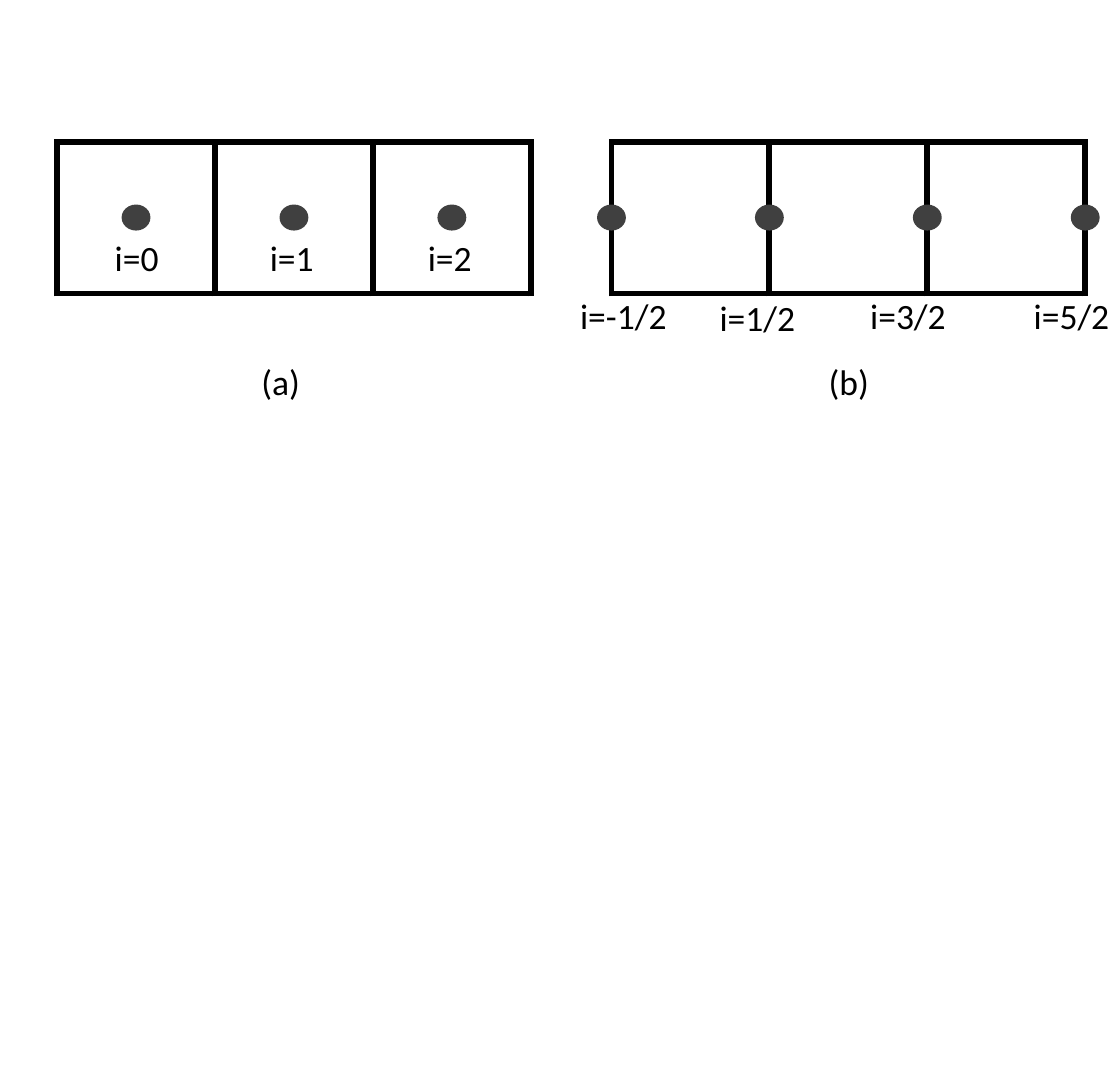
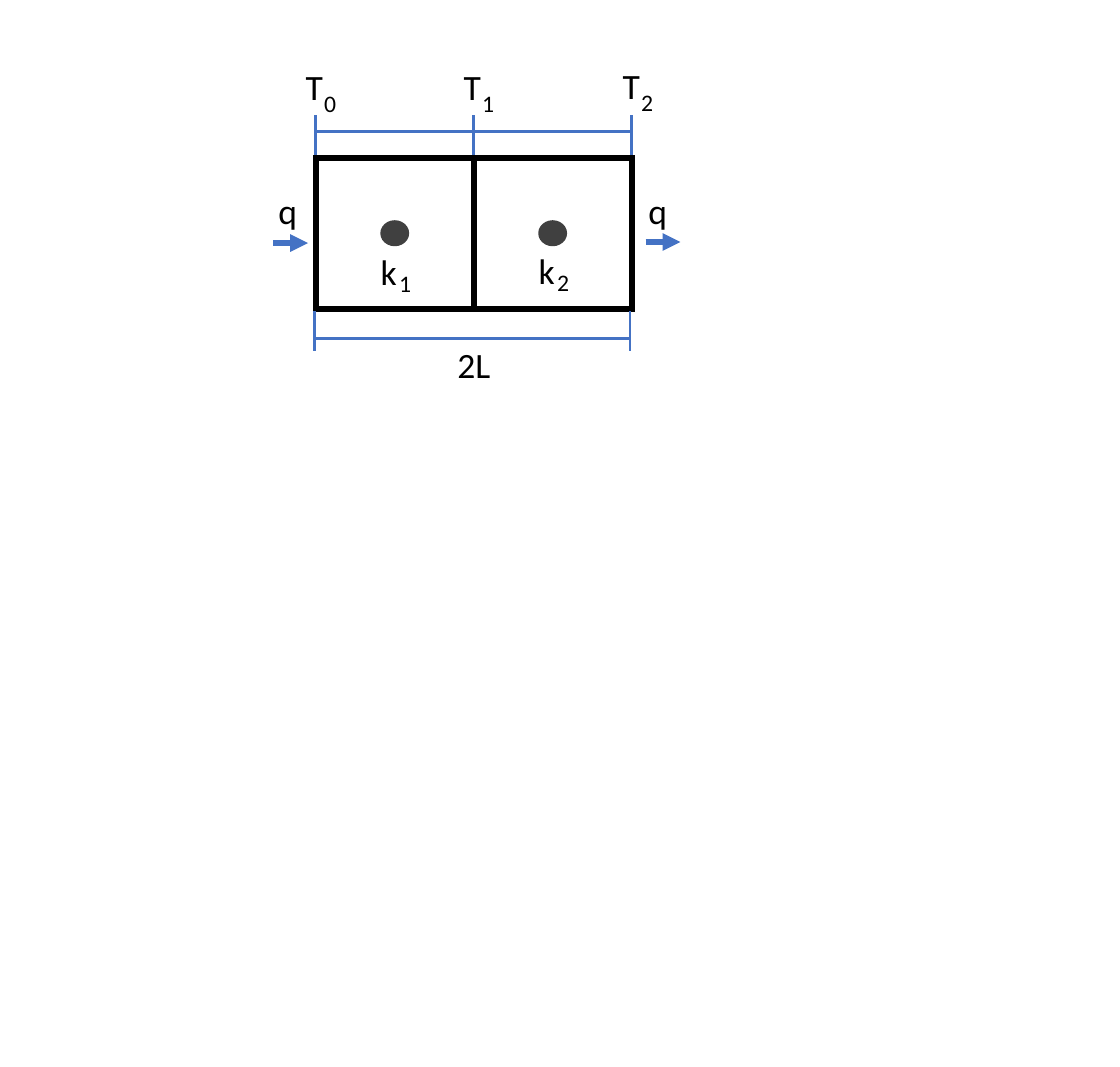
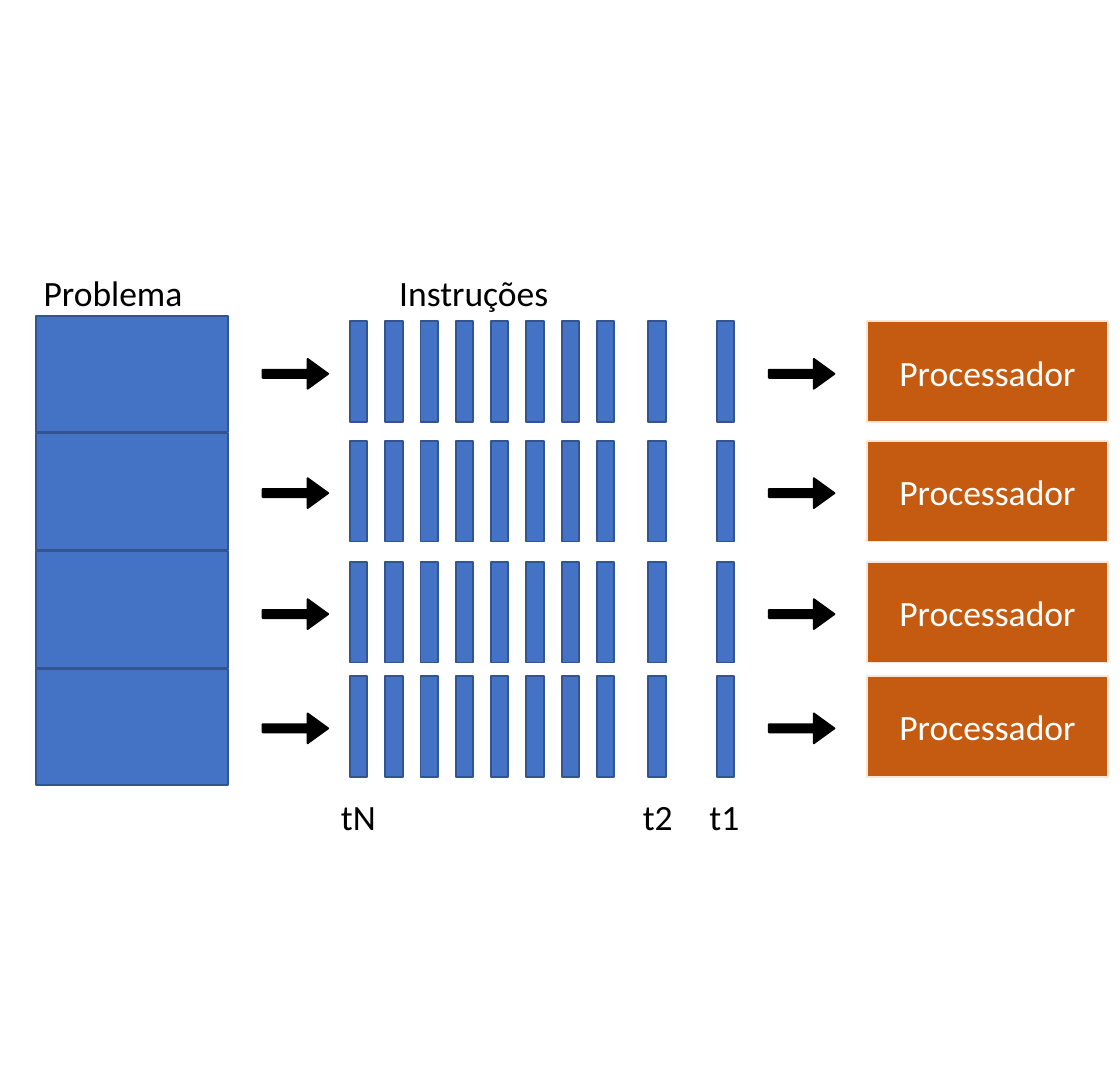
from lxml import etree
from pptx import Presentation
from pptx import util as u
from pptx.dml.color import RGBColor
from pptx.enum import shapes, text
from pptx.oxml.ns import qn

BLACK, WHITE, GREY = "000000", "FFFFFF", "404040"
BLUE, NAVY = "4472C4", "325491"
RUST, PEACH = "C55A11", "FBE5D6"
FONT = "Calibri"
SHAPE = shapes.MSO_SHAPE

# Cell grid, in cm
CELL, HIGH = 2.82, 2.7


def paint(color):
    return RGBColor.from_string(color)


class Deck:
    """Holds the style and the current slide; all lengths are in cm."""

    def __init__(self, width, height):
        self.prs = Presentation()
        self.prs.slide_width, self.prs.slide_height = u.Cm(width), u.Cm(height)
        self.page = None

    def start(self):
        self.page = self.prs.slides.add_slide(self.prs.slide_layouts[6]).shapes

    def letter(self, frame, words, size, color):
        frame.text = words
        font = frame.paragraphs[0].font
        font.name, font.size = FONT, u.Pt(size)
        font.color.rgb = paint(color)

    def label(self, x, y, width, words, size=18):
        height = 1.02 if size == 18 else 0.77
        box = self.page.add_textbox(u.Cm(x), u.Cm(y), u.Cm(width), u.Cm(height))
        box.text_frame.word_wrap = False
        box.text_frame.auto_size = text.MSO_AUTO_SIZE.SHAPE_TO_FIT_TEXT
        self.letter(box.text_frame, words, size, BLACK)

    def symbol(self, x, y, base, sub, drop):
        self.label(x, y, 0.81, base)
        self.label(x + 0.33, y + drop, 0.74, sub, 12)

    def shape(self, kind, x, y, width, height, fill, edge):
        item = self.page.add_shape(kind, u.Cm(x), u.Cm(y), u.Cm(width), u.Cm(height))
        item.shadow.inherit = False
        item.fill.solid()
        item.fill.fore_color.rgb = paint(fill)
        item.line.color.rgb = paint(edge)
        item.line.width = u.Pt(1)
        return item

    def box(self, x, y, width, height, fill=BLUE, edge=NAVY, words=None):
        item = self.shape(SHAPE.RECTANGLE, x, y, width, height, fill, edge)
        if words:
            frame = item.text_frame
            self.letter(frame, words, 18, WHITE)
            frame.vertical_anchor = text.MSO_ANCHOR.MIDDLE
            frame.paragraphs[0].alignment = text.PP_ALIGN.CENTER

    def arrow(self, x, y):
        item = self.shape(SHAPE.RIGHT_ARROW, x, y, 1.17, 0.53, BLACK, BLACK)
        item.adjustments[0], item.adjustments[1] = 0.27, 0.69

    def line(self, x1, y1, x2, y2, color=BLACK, width=3, head=False):
        item = self.page.add_connector(
            shapes.MSO_CONNECTOR.STRAIGHT, u.Cm(x1), u.Cm(y1), u.Cm(x2), u.Cm(y2))
        item.line.color.rgb = paint(color)
        item.line.width = u.Pt(width)
        props = item.element.spPr
        if head:
            etree.SubElement(props.find(qn("a:ln")), qn("a:tailEnd"), type="triangle")
        etree.SubElement(props, qn("a:effectLst"))

    def cells(self, x, y, count, first, dots):
        """Row of square cells; dots start at `first` cells from the left."""
        for edge in (y, y + HIGH):
            self.line(x, edge, x + count * CELL, edge)
        for i in range(count + 1):
            wall = x + i * CELL
            self.line(wall, y + HIGH + 0.05, wall, y - 0.05)
        for i in range(dots):
            mid = x + (first + i) * CELL
            self.shape(SHAPE.OVAL, mid - 0.24, y + 1.13, 0.48, 0.43, GREY, GREY)

    def scale(self, x, y, ticks, above, below):
        """Dimension line two cells long with ticks at the given cells."""
        for i in range(2):
            self.line(x + i * CELL, y, x + (i + 1) * CELL, y, BLUE, 1.5)
        for i in ticks:
            self.line(x + i * CELL, y - above, x + i * CELL, y + below, BLUE, 1.5)


def grids(deck):
    deck.start()
    # Values at cell centres, then at cell faces
    deck.cells(1.02, 2.54, 3, 0.5, 3)
    deck.cells(10.92, 2.54, 3, 0, 4)
    for i, x in enumerate((1.8, 4.57, 7.39)):
        deck.label(x, 4.09, 1.3, f"i={i}")
    for x, y, width, half in ((10.11, 5.13, 2.08, -1), (12.6, 5.16, 1.88, 1),
                              (15.29, 5.13, 1.88, 3), (18.21, 5.13, 1.88, 5)):
        deck.label(x, y, width, f"i={half}/2")
    # Captions
    deck.label(4.42, 6.3, 1.22, "(a)")
    deck.label(14.55, 6.3, 1.24, "(b)")


def heat(deck):
    deck.start()
    deck.cells(5.64, 2.82, 2, 0.5, 2)
    # Conductivities and temperatures
    for x, y, sub in ((6.55, 4.34, "1"), (9.37, 4.32, "2")):
        deck.symbol(x, y, "k", sub, 0.33)
    for x, y, sub in ((5.21, 1.04, "0"), (8.03, 1.04, "1"), (10.87, 1.02, "2")):
        deck.symbol(x, y, "T", sub, 0.43)
    # Heat flow in and out
    for x, start, y in ((4.72, 4.88, 4.34), (11.33, 11.53, 4.32)):
        deck.label(x, 3.25, 0.86, "q")
        deck.line(start, y, start + 0.62, y, BLUE, 3, head=True)
    # Dimensions
    deck.scale(5.64, 2.34, (0, 1, 2), 0.28, 0.43)
    deck.scale(5.61, 6.05, (0, 2), 0.49, 0.22)
    deck.label(7.92, 5.99, 1.12, "2L")


def tasks(deck):
    deck.start()
    bars = [6.25 + 0.63 * i for i in range(8)] + [11.58, 12.8]
    # One row per processor
    for i, y in enumerate((5.74, 7.87, 10.03, 12.07)):
        deck.box(0.64, 5.64 + 2.1 * i, 3.43, 2.08)
        for x in bars:
            deck.box(x, y, 0.31, 1.8)
        for x in (4.69, 13.73):
            deck.arrow(x, y + 0.67)
        deck.box(15.49, y, 4.29, 1.8, RUST, PEACH, "Processador")
    # Headings and time marks
    for x, y, width, words in ((0.53, 4.72, 3.02, "Problema"),
                               (6.88, 4.72, 3.2, "Instruções"),
                               (5.84, 14.07, 1.14, "tN"),
                               (11.23, 14.07, 1.04, "t2"),
                               (12.42, 14.07, 1.04, "t1")):
        deck.label(x, y, width, words)


def main():
    deck = Deck(20, 19.05)
    for build in (grids, heat, tasks):
        build(deck)
    deck.prs.save("out.pptx")


if __name__ == "__main__":
    main()
